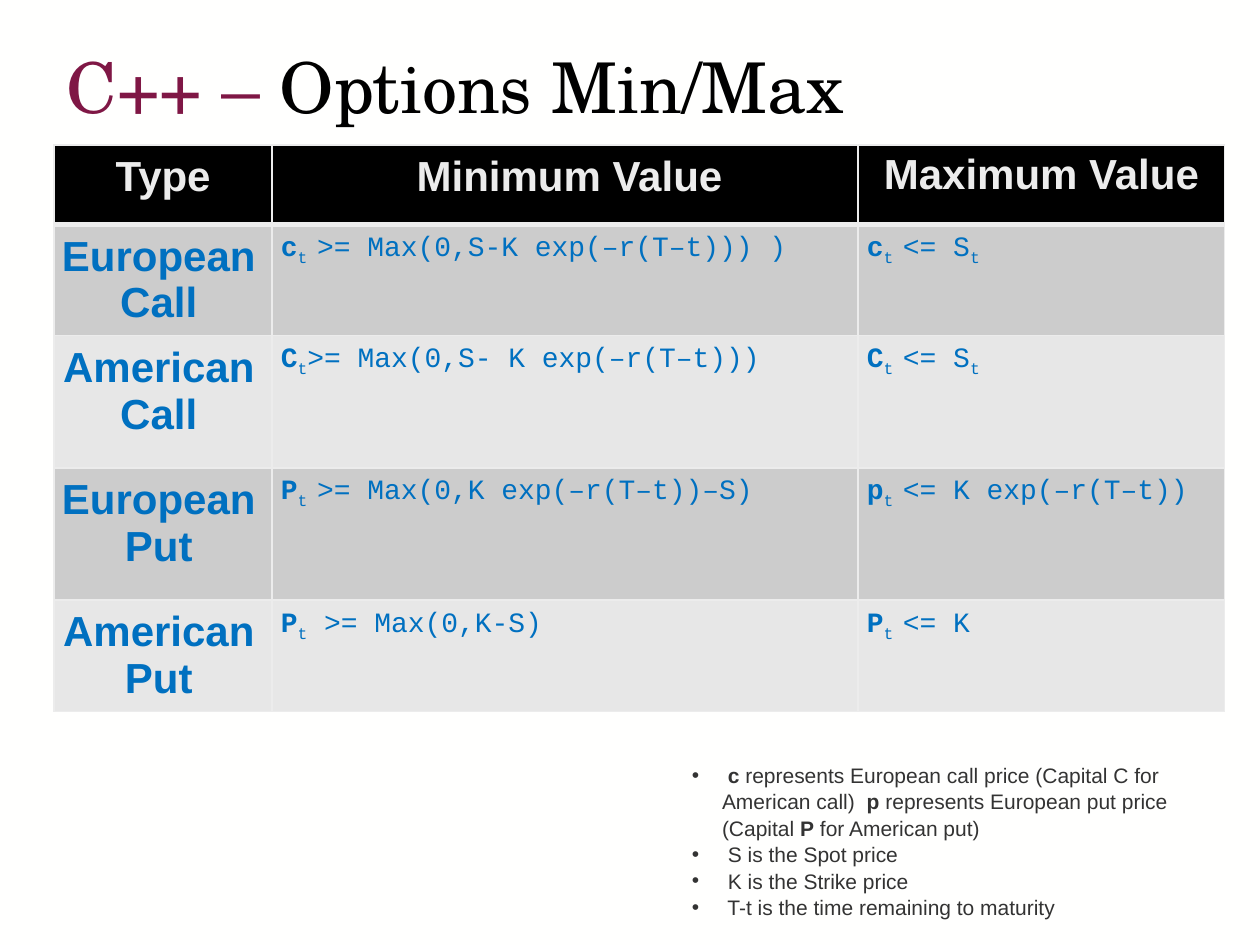
from lxml.etree import SubElement
from pptx import Presentation
from pptx.dml.color import RGBColor
from pptx.enum.text import MSO_ANCHOR, MSO_AUTO_SIZE, PP_ALIGN
from pptx.oxml import parse_xml
from pptx.oxml.ns import nsdecls, qn
from pptx.util import Inches, Pt

PAPER = RGBColor(0xFF, 0xFF, 0xFE)
BLACK = RGBColor(0x00, 0x00, 0x00)
PLUM = RGBColor(0x7F, 0x17, 0x45)
BLUE = RGBColor(0x00, 0x70, 0xC0)
CHARCOAL = RGBColor(0x33, 0x33, 0x33)
PALE = RGBColor(0xEC, 0xEC, 0xEC)
BANDS = [RGBColor(0xCC, 0xCC, 0xCC), RGBColor(0xE7, 0xE7, 0xE7)]

TITLE_FONT, TEXT_FONT, CODE_FONT = "TeX Gyre Schola", "Arial", "Courier New"

TITLE = [("C++ – ", PLUM), ("Options Min/Max", BLACK)]
HEADERS = ["Type", "Minimum Value", "Maximum Value"]
# In each formula every second part is a subscript.
OPTIONS = [
    ("European Call", ["c", "t ", ">= Max(0,S-K exp(–r(T–t))) )"], ["c", "t ", "<= S", "t"]),
    ("American Call", ["C", "t", ">= Max(0,S- K exp(–r(T–t)))"], ["C", "t ", "<= S", "t"]),
    ("European Put", ["P", "t ", ">= Max(0,K exp(–r(T–t))–S)"], ["p", "t ", "<= K exp(–r(T–t))"]),
    ("American Put", ["P", "t", " >= Max(0,K-S)"], ["P", "t ", "<= K"]),
]
# In each note every second part is bold.
NOTES = [
    [" ", "c", " represents European call price (Capital C for American call)  ", "p",
     " represents European put price (Capital ", "P", " for American put)"],
    [" S is the Spot price"],
    [" K is the Strike price"],
    [" T-t is the time remaining to maturity"],
]

COLUMN_WIDTHS = [1.73, 4.65, 2.91]
ROW_HEIGHTS = [0.63, 0.88, 1.05, 1.05, 0.88]
# Left, top, right, bottom for each column
HEADER_MARGINS = [(0.07, 0.07, 0.07, 0.07), (0.07, 0.07, 0, 0.07), (0.1, 0.05, 0.1, 0.05)]
BODY_MARGINS = [(0, 0.07, 0.07, 0.07), (0.07, 0.07, 0.07, 0.07), (0.07, 0.07, 0, 0.07)]


def add_span(para, text, font, size, color, bold=False, subscript=False):
    span = para.add_run()
    span.text = text
    span.font.name = font
    span.font.size = Pt(size)
    span.font.bold = bold
    span.font.color.rgb = color
    if subscript:
        span.font._element.set("baseline", "-25000")


def place(box, left, top, width, height):
    box.left, box.top = Inches(left), Inches(top)
    box.width, box.height = Inches(width), Inches(height)
    box.text_frame.word_wrap = True
    box.text_frame.auto_size = MSO_AUTO_SIZE.NONE


def set_borders(cell, bottom):
    """Draw pale borders; the bottom one may be heavier."""
    properties = cell._tc.get_or_add_tcPr()
    for index, (side, points) in enumerate([("L", 1), ("R", 1), ("T", 1), ("B", bottom)]):
        line = parse_xml(
            f'<a:ln{side} {nsdecls("a")} w="{Pt(points)}"><a:solidFill>'
            f'<a:srgbClr val="{PALE}"/></a:solidFill></a:ln{side}>')
        properties.insert(index, line)


def format_cell(cell, fill, margins, bottom=1):
    cell.fill.solid()
    cell.fill.fore_color.rgb = fill
    left, top, right, base = map(Inches, margins)
    cell.margin_left, cell.margin_top = left, top
    cell.margin_right, cell.margin_bottom = right, base
    set_borders(cell, bottom)


def add_label(cell, text, color):
    para = cell.text_frame.paragraphs[0]
    para.alignment = PP_ALIGN.CENTER
    add_span(para, text, TEXT_FONT, 24, color, bold=True)


def add_formula(cell, parts):
    para = cell.text_frame.paragraphs[0]
    for index, part in enumerate(parts):
        add_span(para, part, CODE_FONT, 16, BLUE, bold=index == 0, subscript=index % 2 == 1)


def add_title(page):
    box = page.shapes.title
    place(box, 0.43, 0.05, 8.5, 1.25)
    box.text_frame.vertical_anchor = MSO_ANCHOR.MIDDLE
    para = box.text_frame.paragraphs[0]
    para.alignment = PP_ALIGN.LEFT
    for text, color in TITLE:
        add_span(para, text, TITLE_FONT, 40, color)


def add_options_table(page):
    table = page.shapes.add_table(
        len(ROW_HEIGHTS), len(COLUMN_WIDTHS), Inches(0.43), Inches(1.15),
        Inches(sum(COLUMN_WIDTHS)), Inches(sum(ROW_HEIGHTS))).table
    for column, width in zip(table.columns, COLUMN_WIDTHS):
        column.width = Inches(width)
    for row, height in zip(table.rows, ROW_HEIGHTS):
        row.height = Inches(height)

    for column, header in enumerate(HEADERS):
        cell = table.cell(0, column)
        format_cell(cell, BLACK, HEADER_MARGINS[column], bottom=3)
        add_label(cell, header, PALE)
    for row, (name, *formulas) in enumerate(OPTIONS, start=1):
        for column, margins in enumerate(BODY_MARGINS):
            format_cell(table.cell(row, column), BANDS[(row - 1) % 2], margins)
        add_label(table.cell(row, 0), name, BLUE)
        for column, parts in enumerate(formulas, start=1):
            add_formula(table.cell(row, column), parts)


def add_notes(page):
    box = page.placeholders[1]
    place(box, 5.39, 5.99, 4.33, 1.31)
    frame = box.text_frame
    for number, parts in enumerate(NOTES):
        para = frame.add_paragraph() if number else frame.paragraphs[0]
        para.space_before = Pt(0)
        para.line_spacing = 1.05
        properties = para._p.get_or_add_pPr()
        properties.set("marL", str(Inches(0.24)))
        properties.set("indent", str(-Inches(0.24)))
        SubElement(properties, qn("a:buFont"), typeface=TEXT_FONT)
        SubElement(properties, qn("a:buChar"), char="•")
        for index, part in enumerate(parts):
            add_span(para, part, TEXT_FONT, 12, CHARCOAL, bold=index % 2 == 1)


def main():
    deck = Presentation()
    deck.slide_width, deck.slide_height = Inches(10), Inches(7.5)
    page = deck.slides.add_slide(deck.slide_layouts[1])
    page.background.fill.solid()
    page.background.fill.fore_color.rgb = PAPER
    add_title(page)
    add_options_table(page)
    add_notes(page)
    deck.save("out.pptx")


if __name__ == "__main__":
    main()
